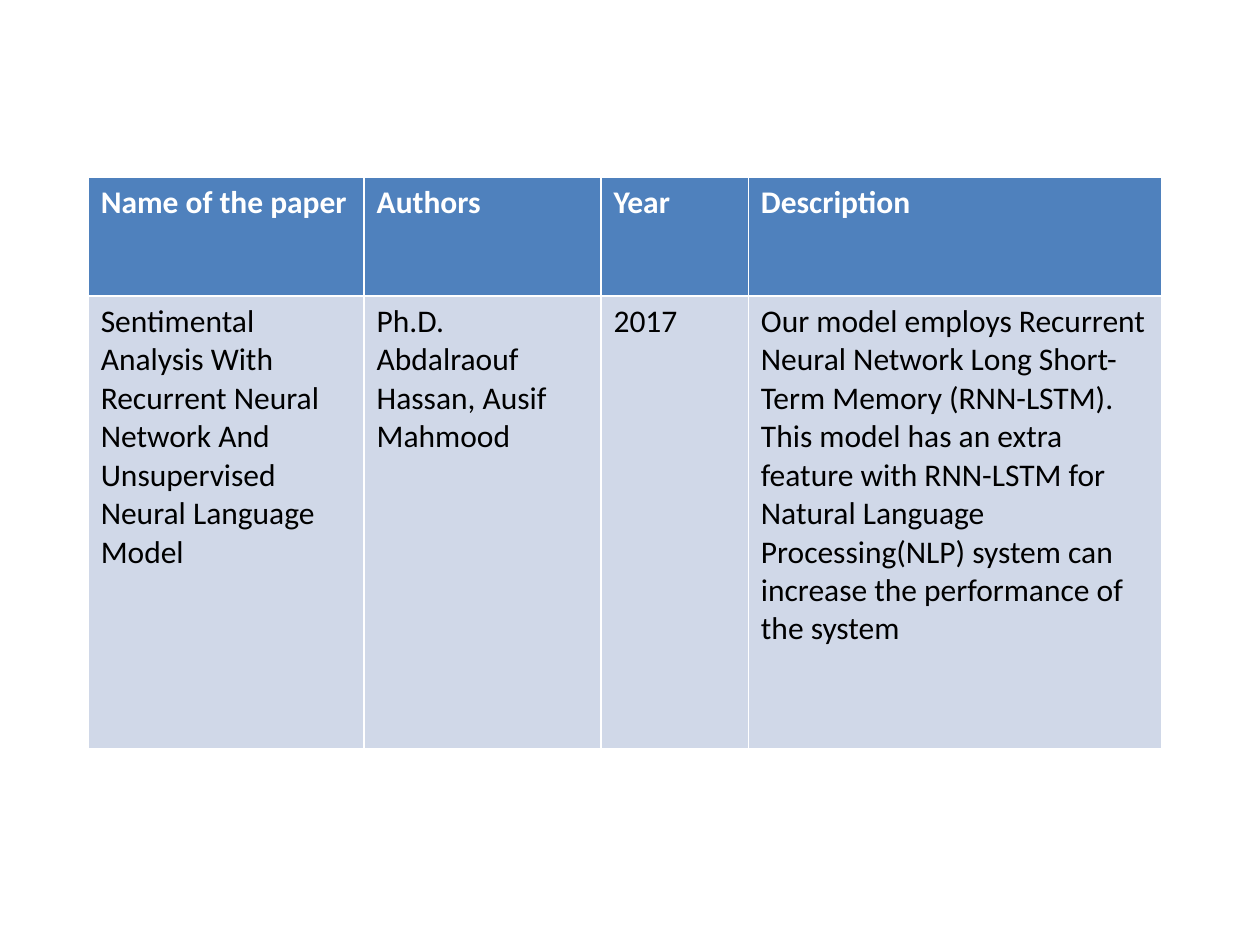
from dataclasses import dataclass

from pptx import Presentation
from pptx.dml.color import RGBColor as RGB
from pptx.util import Inches, Pt


@dataclass(frozen=True)
class Theme:
    font: str = "Calibri"
    size: int = 18
    header_fill: str = "4F81BD"
    header_text: str = "FFFFFF"
    body_fill: str = "D0D8E8"
    body_text: str = "000000"


class SlideBuilder:
    def __init__(self, slide, theme):
        self.s = slide
        self.theme = theme

    def cell(self, cell, text, header):
        t = self.theme
        cell.fill.solid()
        cell.fill.fore_color.rgb = RGB.from_string(t.header_fill if header else t.body_fill)
        r = cell.text_frame.paragraphs[0].add_run()
        r.text = text
        font_format = {"name": t.font, "size": Pt(t.size), "bold": header}
        for name, value in font_format.items():
            setattr(r.font, name, value)
        r.font.color.rgb = RGB.from_string(t.header_text if header else t.body_text)

    def table(self, left, top, widths, heights, rows):
        """Add a table in the default style, whose white rules part the cells."""
        size = Inches(sum(widths)), Inches(sum(heights))
        table = self.s.shapes.add_table(
            len(heights), len(widths), Inches(left), Inches(top), *size
        ).table
        for column, width in zip(table.columns, widths):
            column.width = Inches(width)
        for i, (row, height, texts) in enumerate(zip(table.rows, heights, rows)):
            row.height = Inches(height)
            for cell, text in zip(row.cells, texts):
                self.cell(cell, text, header=i == 0)


PAPERS = [
    ("Name of the paper", "Authors", "Year", "Description"),
    (
        "Sentimental Analysis With Recurrent Neural Network And "
        "Unsupervised Neural Language Model",
        "Ph.D. Abdalraouf Hassan, Ausif Mahmood",
        "2017",
        "Our model employs Recurrent Neural Network Long Short-Term Memory "
        "(RNN-LSTM). This model has an extra feature with RNN-LSTM for Natural "
        "Language Processing(NLP) system can increase the performance of the system",
    ),
]


def main():
    prs = Presentation()
    prs.slide_width, prs.slide_height = Inches(10), Inches(7.5)
    blank_layout = prs.slide_layouts[6]
    builder = SlideBuilder(prs.slides.add_slide(blank_layout), Theme())
    builder.table(0.7, 1.41, [2.19, 1.88, 1.17, 3.28], [0.94, 3.59], PAPERS)
    prs.save("out.pptx")


if __name__ == "__main__":
    main()
